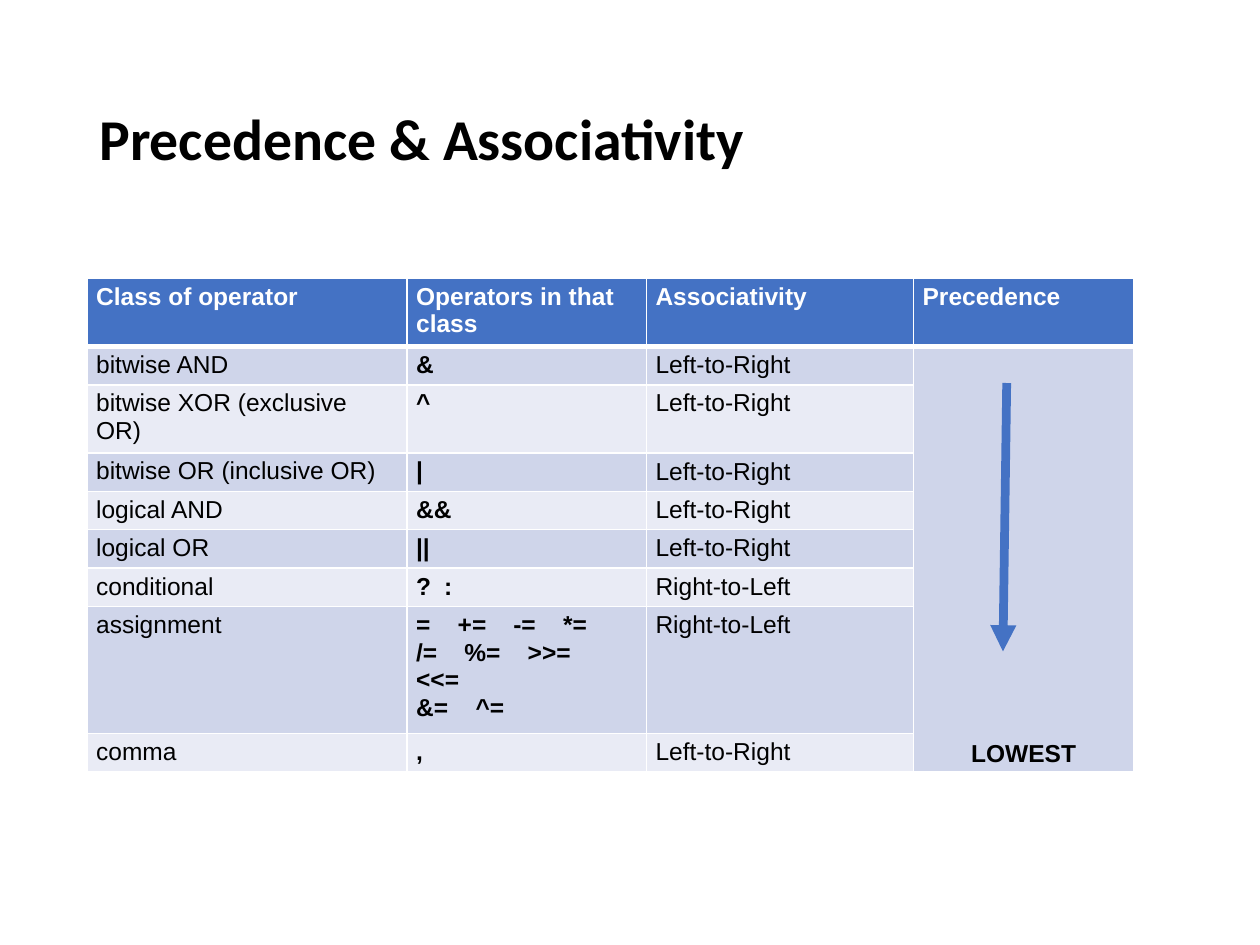
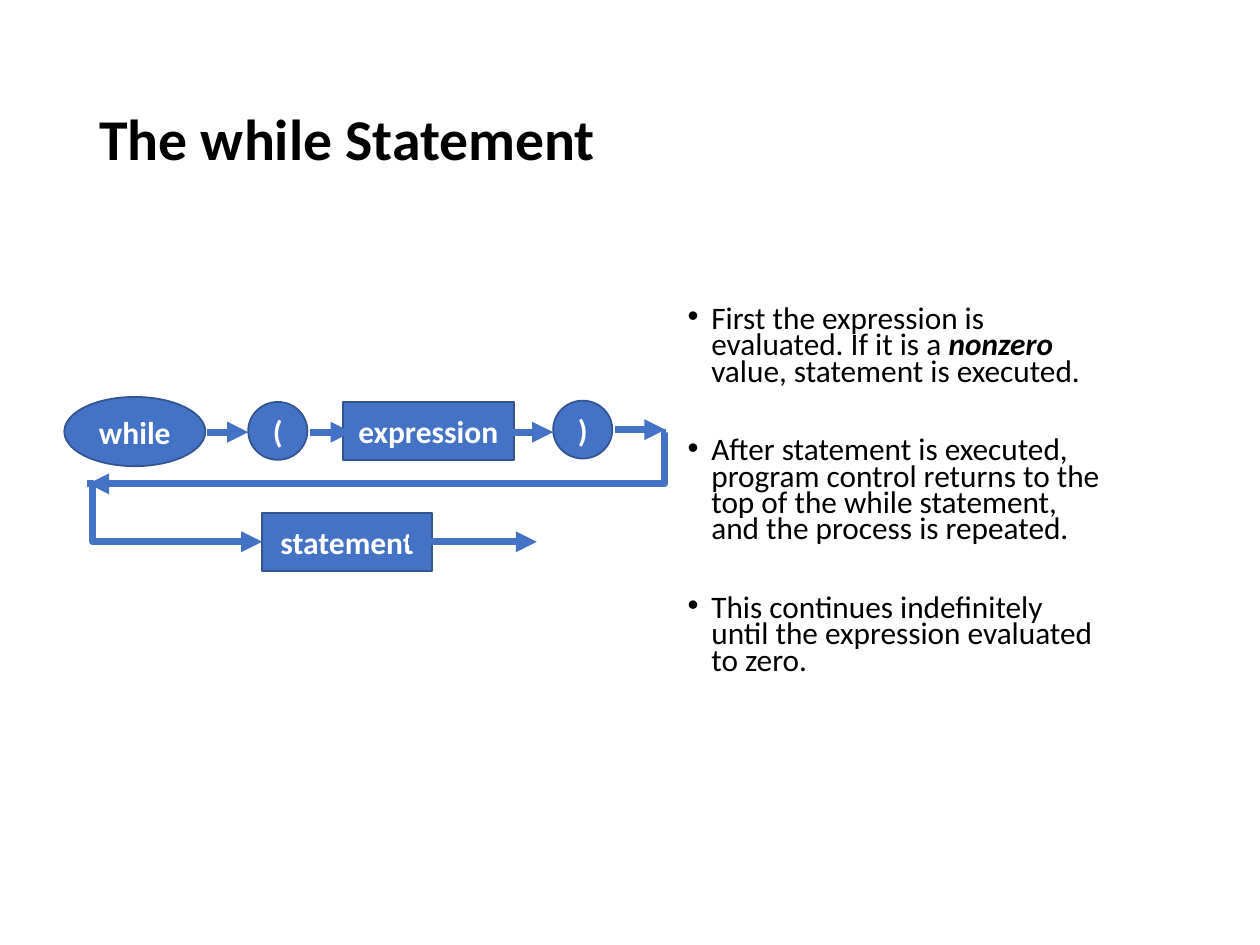
from dataclasses import dataclass

from lxml.etree import SubElement
from pptx import Presentation
from pptx.dml.color import RGBColor
from pptx.enum.shapes import MSO_CONNECTOR as Route, MSO_SHAPE as Preset
from pptx.enum.text import MSO_ANCHOR as Anchor, PP_ALIGN as Align
from pptx.oxml import parse_xml
from pptx.oxml.ns import nsdecls, qn
from pptx.util import Pt


@dataclass(frozen=True)
class Theme:
    accent: str = "4472C4"
    edge: str = "325491"
    band_dark: str = "CFD5EA"
    band_light: str = "E9EBF5"
    ink: str = "000000"
    paper: str = "FFFFFF"
    prose_font: str = "Calibri"
    table_font: str = "Arial"
    title_size: float = 33
    body_size: float = 17.9
    node_size: float = 18
    table_size: float = 14


THEME = Theme()
SLIDE_SIZE = (720, 540)
TITLE_BOX = (49.68, 28.8, 620.64, 104.4)

PRECEDENCE_TITLE = "Precedence & Associativity"
HEADINGS = ("Class of operator", "Operators in that class", "Associativity", "Precedence")
LEFT, RIGHT = "Left-to-Right", "Right-to-Left"
OPERATORS = [
    ("bitwise AND", ["&"], LEFT),
    ("bitwise XOR (exclusive OR)", ["^"], LEFT),
    ("bitwise OR (inclusive OR)", ["|"], LEFT),
    ("logical AND", ["&&"], LEFT),
    ("logical OR", ["||"], LEFT),
    ("conditional", ["?\t:"], RIGHT),
    ("assignment", ["=\t+=\t-=\t*=", "/=\t%=\t>>=\t<<=", "&=\t^="], RIGHT),
    ("comma", [","], LEFT),
]
TAB_STOPS = {
    "?\t:": (16,),
    "=\t+=\t-=\t*=": (23.75, 55.5, 84),
    "/=\t%=\t>>=\t<<=": (27.5, 63.75, 108),
    "&=\t^=": (34,),
}
LOWEST = "LOWEST"
MIDDLE_CELL = (3, 2)
TABLE_ORIGIN = (49.68, 159.12)
COLUMN_WIDTHS = (182.88, 136.8, 152.64, 126)
ROW_HEIGHTS = (21.6, 17.28, 17.28, 21.6, 21.6, 21.6, 21.6, 41.76, 21.6)
PRECEDENCE_ARROW = ((575.28, 218.88), (573.12, 372.24))

WHILE_TITLE = "The while Statement"
EXPLANATION = [
    [("First the expression is evaluated. If it is a ", False), ("nonzero", True),
     (" value, statement is executed.", False)],
    [("After statement is executed, program control returns to the top of the while "
      "statement, and the process is repeated.", False)],
    [("This continues indefinitely until the expression evaluated to zero.", False)],
]
EXPLANATION_BOX = (385.92, 172.8, 252.72, 236.88)
TOKENS = [
    ("while", Preset.OVAL, (36.72, 226.8, 80.64, 39.6)),
    ("(", Preset.OVAL, (141.84, 229.68, 33.84, 33.12)),
    ("expression", Preset.RECTANGLE, (195.84, 229.68, 97.92, 33.12)),
    (")", Preset.OVAL, (316.08, 228.96, 33.84, 33.12)),
    ("statement", Preset.RECTANGLE, (149.76, 293.04, 97.2, 33.12)),
]
TOP_Y, RETURN_Y, STATEMENT_Y = 246.96, 276.48, 309.6
STEPS = [
    (118.08, 141.84, TOP_Y),
    (177.12, 200.88, TOP_Y),
    (287.28, 316.08, TOP_Y),
    (351.36, 380.16, 245.52),
    (233.28, 306.72, STATEMENT_Y),
]
TURNS = [
    ((380.16, TOP_Y), (50.4, RETURN_Y), 100),
    ((49.68, RETURN_Y), (149.76, STATEMENT_Y), 3200),
]


def rgb(value):
    return RGBColor.from_string(value)


def points(values):
    return [Pt(value) for value in values]


def add_run(paragraph, text, font, size, color, bold=False, italic=False):
    run = paragraph.add_run()
    run.text = text
    run.font.name, run.font.size = font, Pt(size)
    run.font.bold, run.font.italic = bold, italic
    run.font.color.rgb = rgb(color)


def add_text_frame(slide, box):
    frame = slide.shapes.add_textbox(*points(box)).text_frame
    frame.word_wrap = True
    return frame


def add_titled_slide(deck, title):
    slide = deck.slides.add_slide(deck.slide_layouts[6])
    frame = add_text_frame(slide, TITLE_BOX)
    frame.vertical_anchor = Anchor.MIDDLE
    heading = frame.paragraphs[0]
    heading.line_spacing = 0.9
    add_run(heading, title, THEME.prose_font, THEME.title_size, THEME.ink, bold=True)
    return slide


def add_arrow(slide, start, end, width, bend=None):
    route = Route.STRAIGHT if bend is None else Route.ELBOW
    arrow = slide.shapes.add_connector(route, *points(start + end))
    arrow.line.color.rgb = rgb(THEME.accent)
    arrow.line.width = Pt(width)
    SubElement(arrow.line._get_or_add_ln(), qn("a:tailEnd"), type="triangle")
    properties = arrow._element.spPr
    SubElement(properties, qn("a:effectLst"))
    if bend is not None:
        guides = properties.find(qn("a:prstGeom")).get_or_add_avLst()
        SubElement(guides, qn("a:gd"), name="adj1", fmla=f"val {bend}")


def style_cell(cell, fill, bottom_width=1):
    cell.margin_left = cell.margin_right = Pt(5.25)
    cell.margin_top = cell.margin_bottom = Pt(2.6)
    cell.fill.solid()
    cell.fill.fore_color.rgb = rgb(fill)
    widths = {"lnL": 1, "lnR": 1, "lnT": 1, "lnB": bottom_width}
    for index, (side, width) in enumerate(widths.items()):
        cell._tc.get_or_add_tcPr().insert(index, parse_xml(
            f'<a:{side} {nsdecls("a")} w="{Pt(width)}"><a:solidFill>'
            f'<a:srgbClr val="{THEME.paper}"/></a:solidFill></a:{side}>'))


def write_cell(cell, lines, color=THEME.ink, bold=False):
    frame = cell.text_frame
    for index, line in enumerate(lines):
        paragraph = frame.add_paragraph() if index else frame.paragraphs[0]
        if line in TAB_STOPS:
            stops = SubElement(paragraph._p.get_or_add_pPr(), qn("a:tabLst"))
            for position in TAB_STOPS[line]:
                SubElement(stops, qn("a:tab"), pos=str(Pt(position)), algn="l")
        add_run(paragraph, line, THEME.table_font, THEME.table_size, color, bold)


def add_operator_table(slide):
    size = (sum(COLUMN_WIDTHS), sum(ROW_HEIGHTS))
    table = slide.shapes.add_table(
        len(ROW_HEIGHTS), len(COLUMN_WIDTHS), *points(TABLE_ORIGIN + size)).table
    for column, width in zip(table.columns, COLUMN_WIDTHS):
        column.width = Pt(width)
    for row, height in zip(table.rows, ROW_HEIGHTS):
        row.height = Pt(height)

    for column, heading in enumerate(HEADINGS):
        cell = table.cell(0, column)
        style_cell(cell, THEME.accent, bottom_width=3)
        write_cell(cell, [heading], THEME.paper, bold=True)

    for row, (family, symbols, associativity) in enumerate(OPERATORS, 1):
        band = THEME.band_dark if row % 2 else THEME.band_light
        for column, lines in enumerate(([family], symbols, [associativity])):
            cell = table.cell(row, column)
            style_cell(cell, band)
            write_cell(cell, lines, bold=column == 1)
        style_cell(table.cell(row, 3), THEME.band_dark)

    table.cell(*MIDDLE_CELL).vertical_anchor = Anchor.MIDDLE
    scale = table.cell(1, 3)
    scale.merge(table.cell(len(OPERATORS), 3))
    scale.vertical_anchor = Anchor.BOTTOM
    write_cell(scale, [LOWEST], bold=True)
    scale.text_frame.paragraphs[0].alignment = Align.CENTER


def add_explanation(slide):
    frame = add_text_frame(slide, EXPLANATION_BOX)
    for index, parts in enumerate(EXPLANATION):
        paragraph = frame.add_paragraph() if index else frame.paragraphs[0]
        properties = paragraph._p.get_or_add_pPr()
        properties.set("marL", str(Pt(13.5)))
        properties.set("indent", str(Pt(-13.5)))
        SubElement(properties, qn("a:buFont"), typeface=THEME.table_font)
        SubElement(properties, qn("a:buChar"), char="•")
        paragraph.line_spacing = 0.7
        if index:
            paragraph.space_before = Pt(30)
        for text, stressed in parts:
            add_run(paragraph, text, THEME.prose_font, THEME.body_size, THEME.ink,
                    stressed, stressed)


def add_token(slide, word, preset, box):
    token = slide.shapes.add_shape(preset, *points(box))
    token.shadow.inherit = False
    token.fill.solid()
    token.fill.fore_color.rgb = rgb(THEME.accent)
    token.line.color.rgb = rgb(THEME.edge)
    token.line.width = Pt(1)
    token.text_frame.vertical_anchor = Anchor.MIDDLE
    label = token.text_frame.paragraphs[0]
    label.alignment = Align.CENTER
    add_run(label, word, THEME.prose_font, THEME.node_size, THEME.paper, bold=True)


def main():
    deck = Presentation()
    deck.slide_width, deck.slide_height = points(SLIDE_SIZE)

    precedence = add_titled_slide(deck, PRECEDENCE_TITLE)
    add_operator_table(precedence)
    add_arrow(precedence, *PRECEDENCE_ARROW, width=5)

    while_slide = add_titled_slide(deck, WHILE_TITLE)
    add_explanation(while_slide)
    for word, preset, box in TOKENS:
        add_token(while_slide, word, preset, box)
    for start_x, end_x, y in STEPS:
        add_arrow(while_slide, (start_x, y), (end_x, y), width=4)
    for start, end, bend in TURNS:
        add_arrow(while_slide, start, end, width=4, bend=bend)

    deck.save("out.pptx")


if __name__ == "__main__":
    main()
